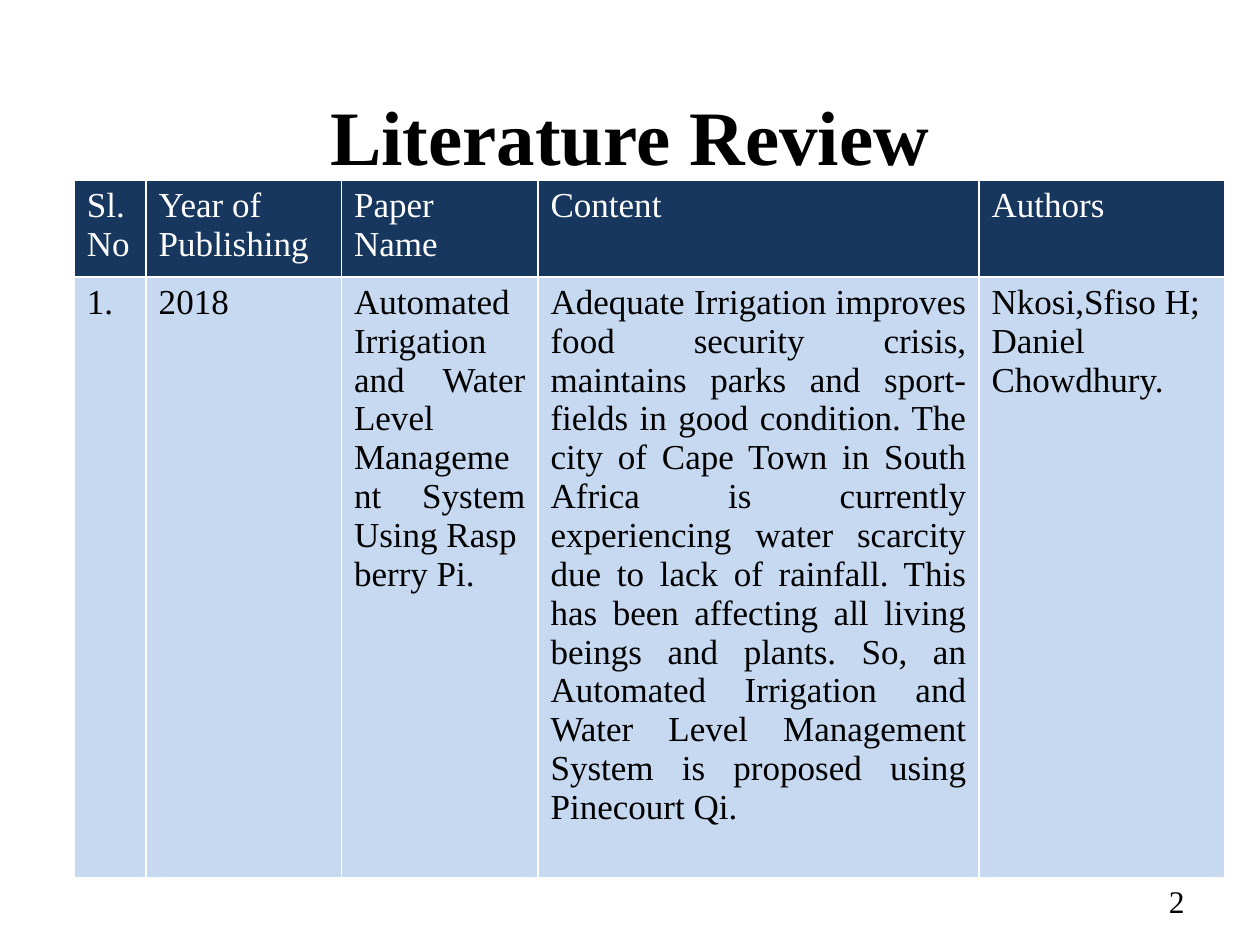
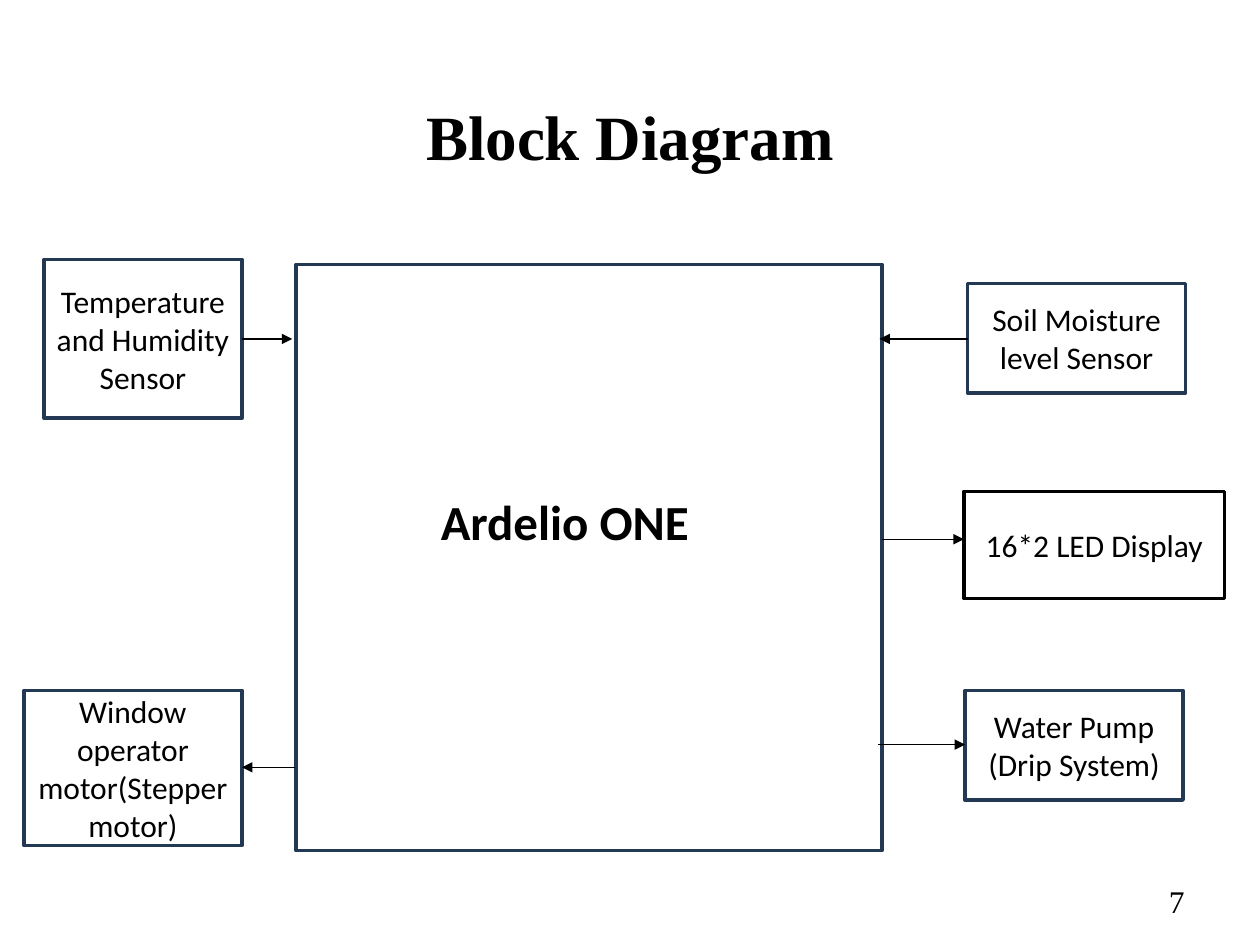
from lxml.etree import SubElement
from pptx import Presentation
from pptx.dml.color import RGBColor
from pptx.enum.shapes import MSO_CONNECTOR as CONNECTOR, MSO_SHAPE as SHAPE
from pptx.enum.text import MSO_ANCHOR as ANCHOR, MSO_AUTO_SIZE as AUTOSIZE, PP_ALIGN as ALIGN
from pptx.oxml.ns import qn
from pptx.util import Pt

PX = 9144  # 100 px to the inch
SERIF, SANS = "Times New Roman", "Calibri"
BLACK, WHITE = "000000", "FFFFFF"
HEADER_BLUE, ROW_BLUE, BOX_BLUE = "17375E", "C6D9F1", "233953"
NO_BREAK_SPACE = chr(160)


def rgb(hex_code):
    return RGBColor.from_string(hex_code)


def write(frame, text, size=18, font=SERIF, color=BLACK, bold=False,
          align=ALIGN.LEFT, anchor=ANCHOR.TOP, wrap=True):
    """Fill a text frame, one paragraph for each line of text."""
    frame.text = text
    frame.word_wrap = wrap
    frame.vertical_anchor = anchor
    for paragraph in frame.paragraphs:
        paragraph.alignment = align
        for run in paragraph.runs:
            run.font.size = Pt(size)
            run.font.name = font
            run.font.bold = bold
            run.font.color.rgb = rgb(color)


deck = Presentation()
deck.slide_width, deck.slide_height = 1000 * PX, 750 * PX

# Title and page number of each slide
slides = []
for heading, heading_size, page in [("Literature Review", 44, "2"), ("Block Diagram", 36, "7")]:
    slide = deck.slides.add_slide(deck.slide_layouts[5])
    title = slide.shapes.title
    title.left, title.top, title.width, title.height = 75 * PX, 44 * PX, 850 * PX, 126 * PX
    write(title.text_frame, heading, size=heading_size, bold=True,
          align=ALIGN.CENTER, anchor=ANCHOR.MIDDLE)
    title.text_frame.auto_size = AUTOSIZE.NONE
    page_number = slide.shapes.add_textbox(717 * PX, 695 * PX, 233 * PX, 40 * PX)
    write(page_number.text_frame, page, align=ALIGN.RIGHT, anchor=ANCHOR.MIDDLE)
    slides.append(slide)
review, diagram = slides

# Literature table
papers = [
    ["Sl.\nNo", "Year of Publishing", "Paper Name", "Content", "Authors"],
    ["1.", "2018",
     "Automated Irrigation and Water Level Management System "
     + NO_BREAK_SPACE.join(["Using", "Raspberry", "Pi."]),
     "Adequate Irrigation improves food security crisis, maintains parks and sport-fields "
     "in good condition. The city of Cape Town in South Africa is currently experiencing "
     "water scarcity due to lack of rainfall. This has been affecting all living beings and "
     "plants. So, an Automated Irrigation and Water Level Management System is proposed "
     "using Pinecourt Qi.",
     "Nkosi,Sfiso H;\nDaniel Chowdhury."],
]
column_widths = [57, 155, 156, 350, 195]
row_heights = [71, 441]
table = review.shapes.add_table(2, 5, 59 * PX, 143 * PX, sum(column_widths) * PX,
                                sum(row_heights) * PX).table
for column, width in zip(table.columns, column_widths):
    column.width = width * PX
for row, height in zip(table.rows, row_heights):
    row.height = height * PX

for r, paper in enumerate(papers):
    for c, entry in enumerate(paper):
        cell = table.cell(r, c)
        is_header = r == 0
        justified = not is_header and c >= 2
        write(cell.text_frame, entry, size=20, color=WHITE if is_header else BLACK,
              align=ALIGN.JUSTIFY if justified else ALIGN.LEFT)
        properties = cell._tc.get_or_add_tcPr()
        for side in ("a:lnL", "a:lnR", "a:lnT", "a:lnB"):
            border = SubElement(properties, qn(side), w=str(Pt(1)))
            SubElement(SubElement(border, qn("a:solidFill")), qn("a:srgbClr"), val=WHITE)
        cell.fill.solid()
        cell.fill.fore_color.rgb = rgb(HEADER_BLUE if is_header else ROW_BLUE)

# Block diagram: controller and the parts around it
blocks = [
    ("", 235, 210, 465, 465, BOX_BLUE),
    ("Soil Moisture level Sensor", 768, 225, 173, 87, BOX_BLUE),
    ("Water Pump\n(Drip System)", 766, 548, 173, 87, BOX_BLUE),
    ("Temperature and Humidity Sensor", 35, 206, 157, 126, BOX_BLUE),
    ("Window operator motor(Stepper motor)", 19, 548, 173, 123, BOX_BLUE),
    ("16*2 LED Display", 765, 390, 207, 85, BLACK),
]
for label, left, top, width, height, outline in blocks:
    block = diagram.shapes.add_shape(SHAPE.RECTANGLE, left * PX, top * PX, width * PX, height * PX)
    block.shadow.inherit = False
    block.fill.solid()
    block.fill.fore_color.rgb = rgb(WHITE)
    block.line.color.rgb = rgb(outline)
    block.line.width = Pt(2)
    if label:
        write(block.text_frame, label, font=SANS, align=ALIGN.CENTER, anchor=ANCHOR.MIDDLE)

controller_label = diagram.shapes.add_textbox(340 * PX, 385 * PX, 238 * PX, 57 * PX)
write(controller_label.text_frame, "Ardelio ONE", size=28, font=SANS, bold=True, wrap=False)

# Signals run level: start x, end x, y
signals = [(700, 765, 428), (697, 766, 591), (192, 232, 269), (234, 192, 609), (768, 698, 269)]
for start, end, y in signals:
    arrow = diagram.shapes.add_connector(CONNECTOR.STRAIGHT, start * PX, y * PX, end * PX, y * PX)
    arrow.line.color.rgb = rgb(BLACK)
    arrow.line.width = Pt(0.75)
    SubElement(arrow.line._get_or_add_ln(), qn("a:tailEnd"), type="triangle")
    SubElement(arrow._element.spPr, qn("a:effectLst"))

deck.save("out.pptx")
